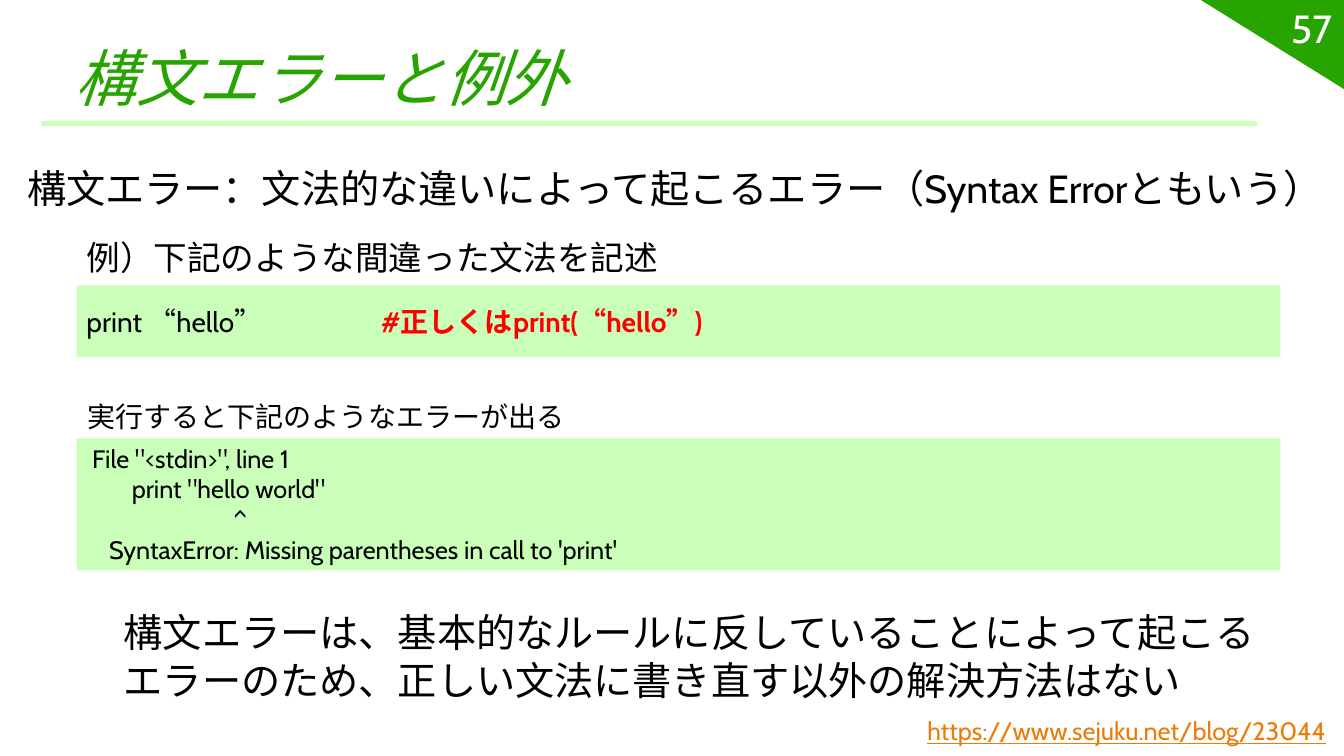
from pptx import Presentation
from pptx.dml.color import RGBColor
from pptx.enum.shapes import MSO_SHAPE
from pptx.enum.text import MSO_ANCHOR, MSO_AUTO_SIZE, PP_ALIGN
from pptx.oxml.ns import qn
from pptx.util import Pt
from lxml.etree import SubElement

PX = 9144  # 100 px to the inch
FONT = "Cabin"
GREEN = RGBColor(0x27, 0xA4, 0x00)
PALE = RGBColor(0xCA, 0xFF, 0xBA)
ORANGE = RGBColor(0xEE, 0x7B, 0x08)
RED = RGBColor(0xFF, 0x00, 0x00)
BLACK = RGBColor(0x00, 0x00, 0x00)
WHITE = RGBColor(0xFF, 0xFF, 0xFF)

deck = Presentation()
deck.slide_width, deck.slide_height = 1333 * PX, 750 * PX
slide = deck.slides.add_slide(deck.slide_layouts[5])
shapes = slide.shapes


def add_box(kind, x, y, w, h, fill):
    box = shapes.add_shape(kind, x * PX, y * PX, w * PX, h * PX)
    box.shadow.inherit = False
    box.fill.solid()
    box.fill.fore_color.rgb = fill
    box.line.fill.background()
    return box


def add_run(para, text, size, color=BLACK):
    run = para.add_run()
    run.text = text
    run.font.name = FONT
    run.font.size = Pt(size)
    run.font.color.rgb = color
    return run


# Corner and rule
corner = add_box(MSO_SHAPE.RIGHT_TRIANGLE, 1191, 0, 143, 89, GREEN)
corner.rotation = 180
add_box(MSO_SHAPE.RECTANGLE, 41, 120, 1206, 5, PALE)

# Title
title = shapes.title
title.left, title.top = 64 * PX, 29 * PX
title.width, title.height = 1206 * PX, 89 * PX
frame = title.text_frame
frame.auto_size = MSO_AUTO_SIZE.NONE
frame.vertical_anchor = MSO_ANCHOR.BOTTOM
para = frame.paragraphs[0]
para.alignment = PP_ALIGN.LEFT
add_run(para, "構文エラーと例外", 44, GREEN).font.italic = True

# Code panels
call = add_box(MSO_SHAPE.RECTANGLE, 76, 283, 1194, 71, PALE).text_frame
call.vertical_anchor = MSO_ANCHOR.MIDDLE
para = call.paragraphs[0]
para.alignment = PP_ALIGN.LEFT
tabs = SubElement(para._p.get_or_add_pPr(), qn("a:tabLst"))
SubElement(tabs, qn("a:tab"), pos=str(292 * PX), algn="l")
add_run(para, "print “hello”\t", 20)
add_run(para, "#正しくはprint(“hello”)", 20, RED).font.bold = True

trace = add_box(MSO_SHAPE.RECTANGLE, 76, 435, 1194, 131, PALE).text_frame
trace.vertical_anchor = MSO_ANCHOR.TOP
lines = [
    ' File "<stdin>", line 1',
    '        print "hello world"',
    "                          ^",
    "    SyntaxError: Missing parentheses in call to 'print'",
]
for i, line in enumerate(lines):
    para = trace.add_paragraph() if i else trace.paragraphs[0]
    para.alignment = PP_ALIGN.LEFT
    add_run(para, line, 18)

# Text: x, y, w, h, size, color, anchor, align, words
TOP, MID = MSO_ANCHOR.TOP, MSO_ANCHOR.MIDDLE
LEFT, RIGHT = PP_ALIGN.LEFT, PP_ALIGN.RIGHT
notes = [
    (1143, 8, 188, 40, 28, WHITE, MID, RIGHT, "57"),
    (17, 158, 1367, 88, 28, BLACK, TOP, LEFT,
     "構文エラー：文法的な違いによって起こるエラー（Syntax Errorともいう）"),
    (76, 230, 843, 50, 24, BLACK, TOP, LEFT,
     "例）下記のような間違った文法を記述"),
    (77, 391, 504, 44, 20, BLACK, TOP, LEFT,
     "実行すると下記のようなエラーが出る"),
    (113, 599, 1173, 104, 28, BLACK, TOP, LEFT,
     "構文エラーは、基本的なルールに反していることによって起こる"
     "エラーのため、正しい文法に書き直す以外の解決方法はない"),
    (910, 701, 423, 48, 18, ORANGE, MID, LEFT,
     "https://www.sejuku.net/blog/23044"),
]
for x, y, w, h, size, color, anchor, align, words in notes:
    frame = shapes.add_textbox(x * PX, y * PX, w * PX, h * PX).text_frame
    frame.word_wrap = True
    frame.vertical_anchor = anchor
    para = frame.paragraphs[0]
    para.alignment = align
    run = add_run(para, words, size, color)
    if color == ORANGE:
        run.font.underline = True
        para.space_after = Pt(6)

deck.save("out.pptx")
